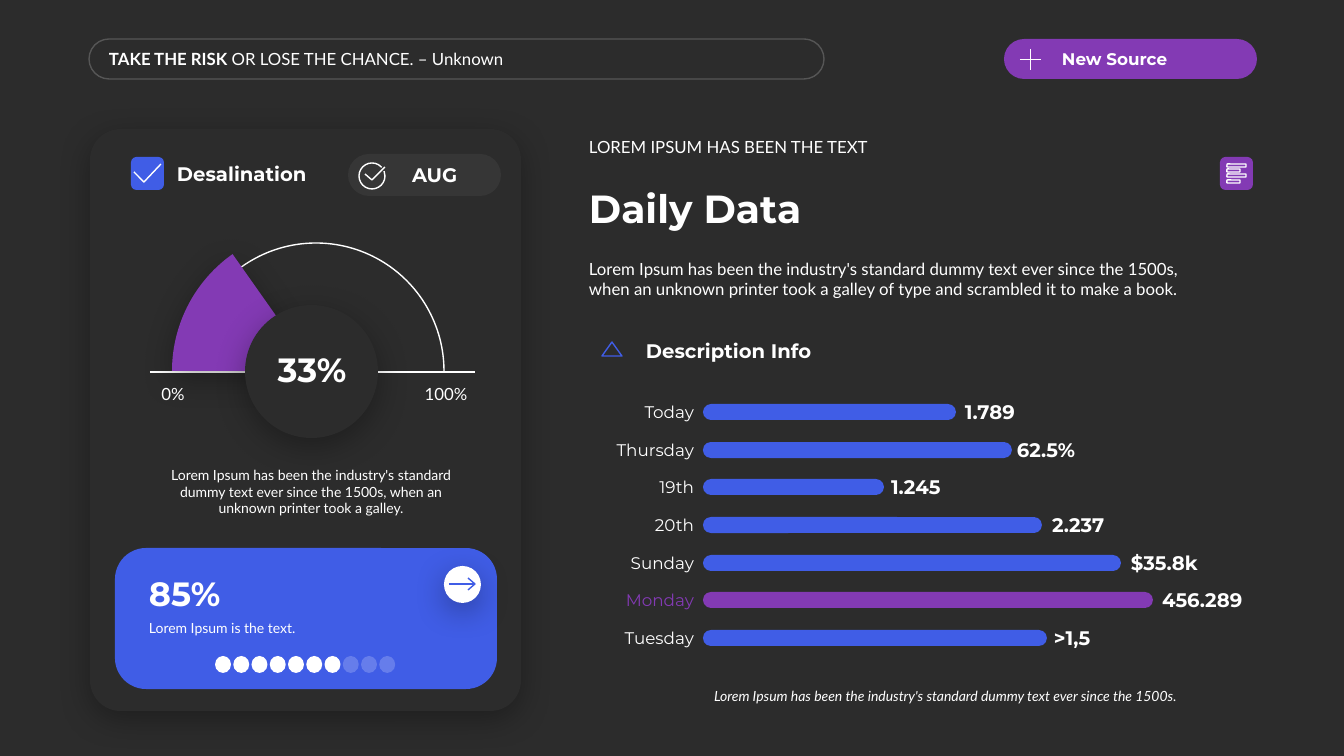
from lxml import etree
from pptx import Presentation
from pptx.dml.color import RGBColor
from pptx.enum.shapes import MSO_CONNECTOR, MSO_SHAPE
from pptx.enum.text import MSO_ANCHOR, MSO_AUTO_SIZE, PP_ALIGN
from pptx.oxml.ns import qn
from pptx.util import Pt

PX = 12192000 / 1344  # EMU per px
DEGREE = 0.6  # arc adjustment per degree
ROUND, OVAL, ARC = MSO_SHAPE.ROUNDED_RECTANGLE, MSO_SHAPE.OVAL, MSO_SHAPE.ARC
LEFT, CENTER, RIGHT = PP_ALIGN.LEFT, PP_ALIGN.CENTER, PP_ALIGN.RIGHT
DARK, WHITE, BLUE, PURPLE = "2C2C2C", "FFFFFF", "405DE6", "833AB4"
LATO, MONTSERRAT = "Lato", "Montserrat"
rgb = RGBColor.from_string

prs = Presentation()
prs.slide_width, prs.slide_height = round(1344 * PX), round(756 * PX)
slide = prs.slides.add_slide(prs.slide_layouts[5])
slide.background.fill.solid()
slide.background.fill.fore_color.rgb = rgb(DARK)
shapes = slide.shapes


def add_block(kind, box, fill=None, line=None, adjust=(), opacity=100, shadow=False):
    block = shapes.add_shape(kind, *[round(v * PX) for v in box])
    for i, value in enumerate(adjust):
        block.adjustments[i] = value
    if fill:
        block.fill.solid()
        block.fill.fore_color.rgb = rgb(fill)
    else:
        block.fill.background()
    if line:
        block.line.color.rgb = rgb(line)
        block.line.width = Pt(1)
    else:
        block.line.fill.background()
    properties = block._element.spPr
    if opacity < 100:
        for color in properties.iter(qn("a:srgbClr")):
            etree.SubElement(color, qn("a:alpha"), val=str(opacity * 1000))
    block.shadow.inherit = False
    if shadow:
        outer = etree.SubElement(properties.find(qn("a:effectLst")), qn("a:outerShdw"),
                                 blurRad=str(Pt(23)), dist=str(Pt(6)), dir="5400000",
                                 algn="t", rotWithShape="0")
        black = etree.SubElement(outer, qn("a:srgbClr"), val="000000")
        etree.SubElement(black, qn("a:alpha"), val="30000")


def add_text(box, text, size, font=LATO, bold=False, align=LEFT, color=WHITE,
             inset=10, holder=None):
    box = [round(v * PX) for v in box]
    if holder is None:
        holder = shapes.add_textbox(*box)
    holder.left, holder.top, holder.width, holder.height = box
    frame = holder.text_frame
    frame.word_wrap = True
    frame.auto_size = MSO_AUTO_SIZE.NONE
    frame.vertical_anchor = MSO_ANCHOR.MIDDLE
    frame.margin_left = frame.margin_right = round(inset * PX)
    frame.text = text
    paragraph = frame.paragraphs[0]
    paragraph.alignment = align
    paragraph.font.name = font
    paragraph.font.size = Pt(size)
    paragraph.font.bold = bold
    paragraph.font.color.rgb = rgb(color)
    return paragraph


# Top bar
add_block(ROUND, (89, 39, 735, 40), line=WHITE, adjust=[0.5], opacity=20)
quote = add_text((105, 44, 656, 30), "TAKE THE RISK ", 12, inset=4)
quote.runs[0].font.bold = True
quote.add_run().text = "OR LOSE THE CHANCE. – Unknown"
add_block(ROUND, (1004, 39, 253, 40), PURPLE, adjust=[0.5])
add_text((1052, 44, 204, 30), "New Source", 12, MONTSERRAT, True)

# Card header
add_block(ROUND, (90, 129, 431, 582), DARK, adjust=[0.071], shadow=True)
add_block(ROUND, (131, 157, 33, 33), BLUE)
add_text((167, 157, 160, 34), "Desalination", 14, MONTSERRAT, True)
add_block(ROUND, (348, 154, 153, 42), WHITE, adjust=[0.5], opacity=5)
add_block(ARC, (359, 163, 26, 26), line=WHITE, adjust=[338 * DEGREE, 318 * DEGREE])
add_text((402, 158, 88, 34), "AUG", 14, MONTSERRAT, True)

# Gauge arc, then its baseline and the plus sign of the button
add_block(ARC, (188, 243, 256, 256), line=WHITE, adjust=[180 * DEGREE, 0])
for x1, y1, x2, y2, weight in [(150, 372, 475, 372, 1),
                               (1020, 60, 1041, 60, 0.75), (1031, 49, 1031, 70, 0.75)]:
    rule = shapes.add_connector(MSO_CONNECTOR.STRAIGHT,
                                *[round(v * PX) for v in (x1, y1, x2, y2)])
    rule.line.color.rgb = rgb(WHITE)
    rule.line.width = Pt(weight)
    etree.SubElement(rule._element.spPr, qn("a:effectLst"))

# Gauge wedge, hub and captions
add_block(ARC, (172, 228, 286, 286), PURPLE, adjust=[180 * DEGREE, 234.8 * DEGREE], shadow=True)
add_block(OVAL, (245, 305, 133, 133), DARK, shadow=True)
add_text((237, 344, 150, 50), "33%", 24, MONTSERRAT, True, CENTER)
for middle, limit in [(173, "0%"), (446, "100%")]:
    add_text((middle - 30, 384, 60, 20), limit, 12, align=CENTER, inset=0)
add_text((143, 461, 336, 61), "Lorem Ipsum has been the industry's standard dummy text ever "
         "since the 1500s, when an unknown printer took a galley.", 10, align=CENTER)

# Progress panel
add_block(ROUND, (115, 548, 382, 141), BLUE, adjust=[0.22])
add_text((139, 568, 202, 50), "85%", 24, MONTSERRAT, True)
add_text((139, 614, 202, 27), "Lorem Ipsum is the text.", 10)
for i in range(10):
    add_block(OVAL, (215 + i * 18.25, 656, 16, 17), WHITE, opacity=100 if i < 7 else 20)
add_block(OVAL, (444, 566, 37, 37), WHITE, shadow=True)

# Heading
add_text((579, 132, 627, 30), "LOREM IPSUM HAS BEEN THE TEXT", 12)
add_text((579, 179, 627, 57), "Daily Data", 28, MONTSERRAT, True, holder=shapes.title)
add_text((579, 254, 627, 50), "Lorem Ipsum has been the industry's standard dummy text ever "
         "since the 1500s, when an unknown printer took a galley of type and scrambled it "
         "to make a book.", 12)
add_text((636, 334, 500, 34), "Description Info", 14, MONTSERRAT, True)

# Menu icon
add_block(ROUND, (1220, 157, 33, 33), PURPLE)
for i, width in enumerate([19, 13, 19, 13]):
    add_block(ROUND, (1227, 164 + 16 * i // 3, width, 3), line=WHITE)

# Line icons: check mark, circled check, arrow shaft, arrow head, triangle
for points, color, closed in [
    ([(134, 172), (144, 182), (161, 164)], WHITE, False),
    ([(365, 174), (372, 180), (385, 167)], WHITE, False),
    ([(449, 584), (475, 584)], BLUE, False),
    ([(468, 578), (475, 584), (468, 590)], BLUE, False),
    ([(612, 342), (622, 356), (602, 356)], BLUE, True),
]:
    builder = shapes.build_freeform(*points[0], scale=PX)
    builder.add_line_segments(points[1:], close=closed)
    icon = builder.convert_to_shape()
    icon.fill.background()
    icon.line.color.rgb = rgb(color)
    icon.line.width = Pt(1)
    icon.shadow.inherit = False

# Daily bars: day, bar length, value, value left
days = [
    ("Today", 253, "1.789", 965),
    ("Thursday", 309, "62.5%", 1017),
    ("19th", 181, "1.245", 891),
    ("20th", 339, "2.237", 1052),
    ("Sunday", 418, "$35.8k", 1131),
    ("Monday", 450, "456.289", 1162),
    ("Tuesday", 344, ">1,5", 1054),
]
for i, (day, length, value, value_left) in enumerate(days):
    middle = round(412 + i * 226 / 6)
    highlight = day == "Monday"
    add_block(ROUND, (703, middle - 8, length, 16), PURPLE if highlight else BLUE, adjust=[0.5])
    add_text((590, middle - 15, 104, 30), day, 12, MONTSERRAT, align=RIGHT,
             color=PURPLE if highlight else WHITE, inset=0)
    add_text((value_left, middle - 17, 136, 34), value, 14, MONTSERRAT, True, inset=0)

# Footnote
footnote = add_text((704, 682, 548, 27), "Lorem Ipsum has been the industry's standard dummy "
                    "text ever since the 1500s.", 10)
footnote.font.italic = True

prs.save("out.pptx")
